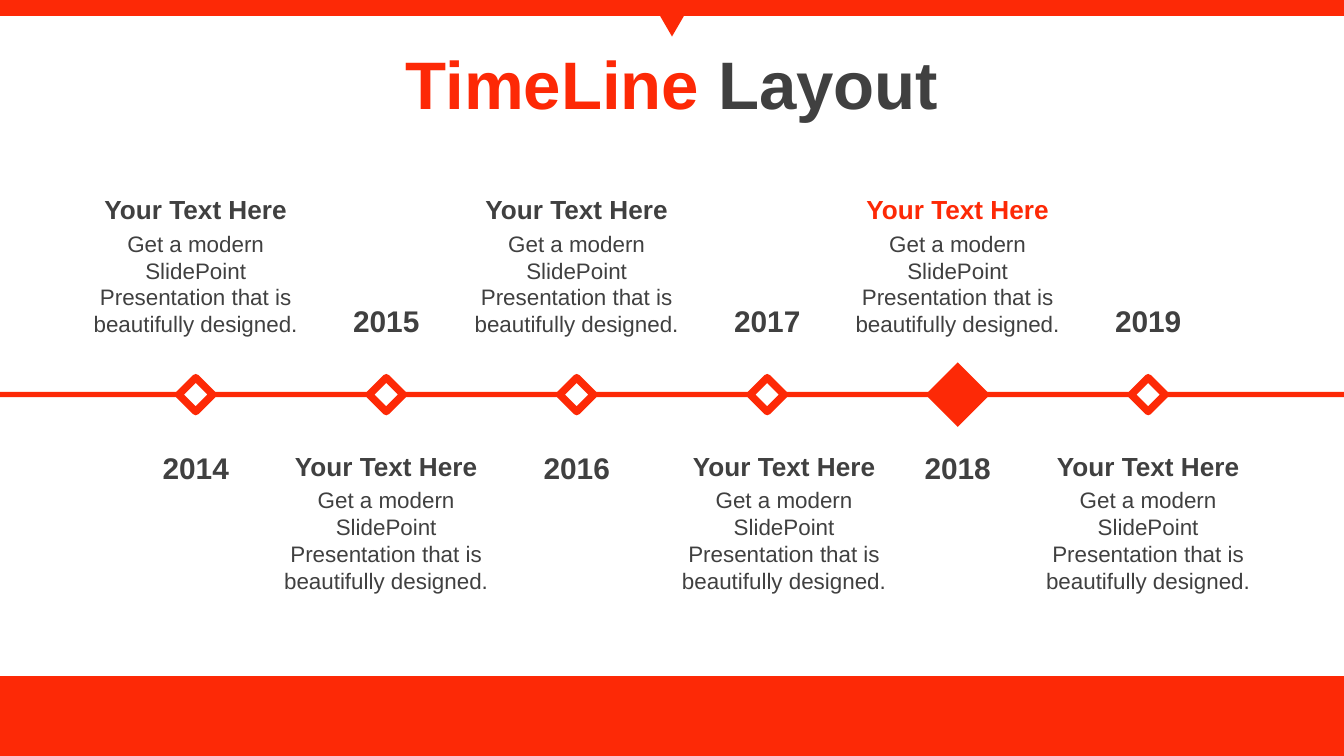
import pptx
import pptx.util
import pptx.dml.color
import pptx.enum.shapes
import pptx.enum.text

Cm = pptx.util.Cm
Pt = pptx.util.Pt
Kind = pptx.enum.shapes.MSO_SHAPE

RED = pptx.dml.color.RGBColor(0xFD, 0x29, 0x06)
GREY = pptx.dml.color.RGBColor(0x40, 0x40, 0x40)
WHITE = pptx.dml.color.RGBColor(0xFF, 0xFF, 0xFF)

WIDE, HIGH = 25.4, 14.29
FIRST, STEP = 3.7, 3.6
AXIS = 7.46
BODY = "Get a modern SlidePoint Presentation that is beautifully designed."

deck = pptx.Presentation()
deck.slide_width, deck.slide_height = Cm(WIDE), Cm(HIGH)
slide = deck.slides.add_slide(deck.slide_layouts[5])


def draw(kind, left, top, width, height, fill=RED, line=None):
    shape = slide.shapes.add_shape(kind, Cm(left), Cm(top), Cm(width), Cm(height))
    shape.shadow.inherit = False
    shape.fill.solid()
    shape.fill.fore_color.rgb = fill
    if line:
        shape.line.color.rgb = RED
        shape.line.width = Pt(line)
    else:
        shape.line.fill.background()
    return shape


def write(text, size, color=GREY, bold=False, box=None, para=None):
    """Add a run to para, or to a new centred text box at box."""
    if para is None:
        frame = slide.shapes.add_textbox(*map(Cm, box)).text_frame
        frame.word_wrap = True
        frame.auto_size = pptx.enum.text.MSO_AUTO_SIZE.SHAPE_TO_FIT_TEXT
        para = frame.paragraphs[0]
    para.alignment = pptx.enum.text.PP_ALIGN.CENTER
    run = para.add_run()
    run.text = text
    run.font.name = "Arial"
    run.font.size = Pt(size)
    run.font.bold = bold
    run.font.color.rgb = color


# Page frame
draw(Kind.RECTANGLE, 0, 12.78, WIDE, HIGH - 12.78)
draw(Kind.RECTANGLE, 0, 0, WIDE, 0.3)
draw(Kind.ISOSCELES_TRIANGLE, WIDE / 2 - 0.4, 0, 0.8, 0.69).rotation = 180

# Title
title = slide.shapes.title
title.left, title.top, title.width, title.height = Cm(0), Cm(0.33), Cm(WIDE), Cm(2.46)
title.text_frame.vertical_anchor = pptx.enum.text.MSO_ANCHOR.MIDDLE
head = title.text_frame.paragraphs[0]
write("TimeLine", 36, color=RED, bold=True, para=head)
write(" Layout", 36, bold=True, para=head)

# Timeline: text and years swap sides at every step
draw(Kind.RECTANGLE, 0, AXIS - 0.05, WIDE, 0.1)
for i, year in enumerate(range(2014, 2020)):
    mid = FIRST + i * STEP
    key = year == 2018
    size = 1.22 if key else 0.64
    draw(Kind.DIAMOND, mid - size / 2, AXIS - size / 2, size, size,
         fill=RED if key else WHITE, line=None if key else 4)

    above = i % 2 == 0
    write(str(year), 16, bold=True,
          box=(mid - 0.93, 8.38 if above else 5.59, 1.86, 0.94))

    left = mid - 2.21 + (0.32 if year == 2017 else 0)
    top = 3.53 if above else 8.38
    write("Your Text Here", 14, color=RED if key else GREY, bold=True,
          box=(left, top, 4.42, 0.86))
    write(BODY, 12, box=(left, top + 0.69, 4.42, 2.31))

deck.save("out.pptx")
